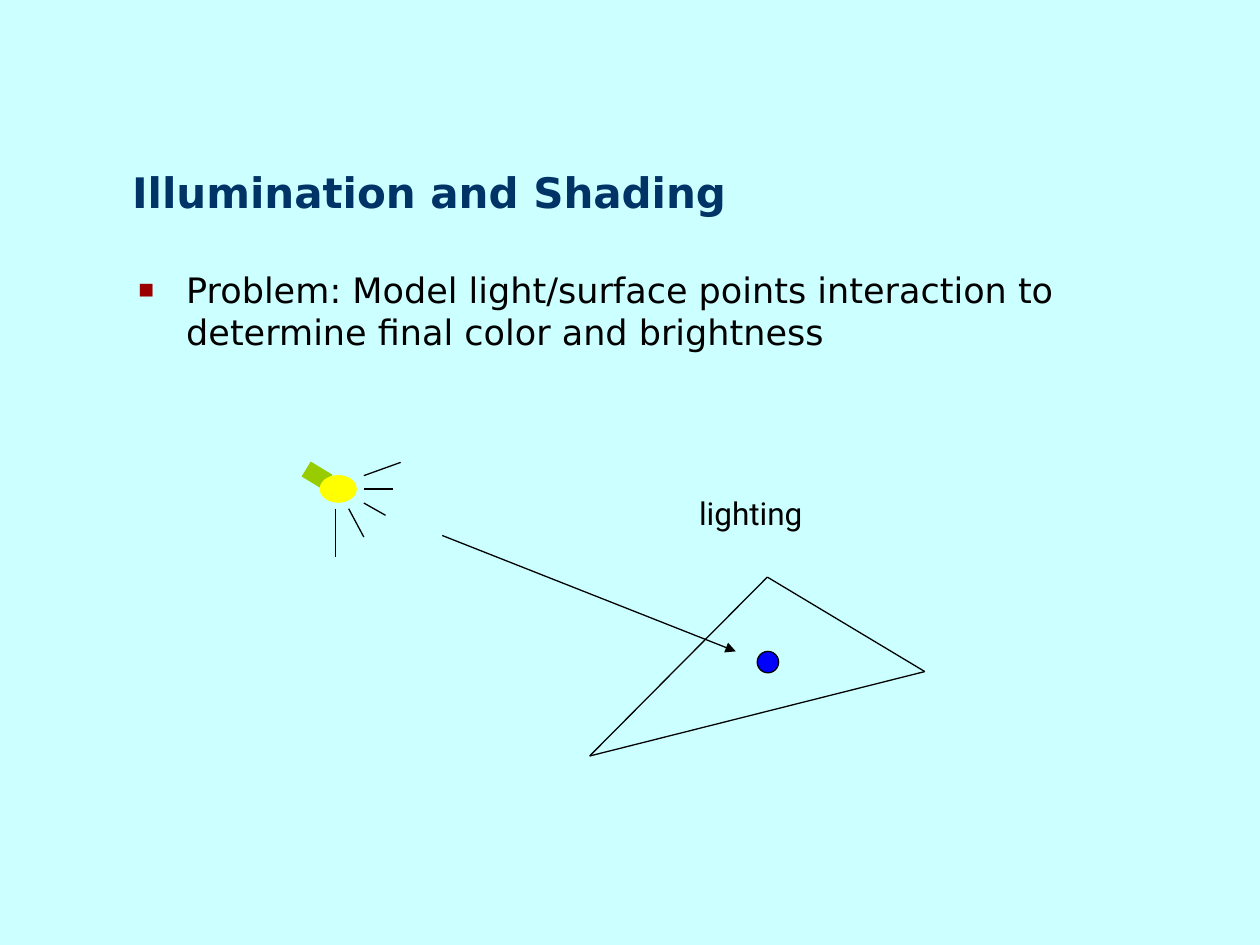
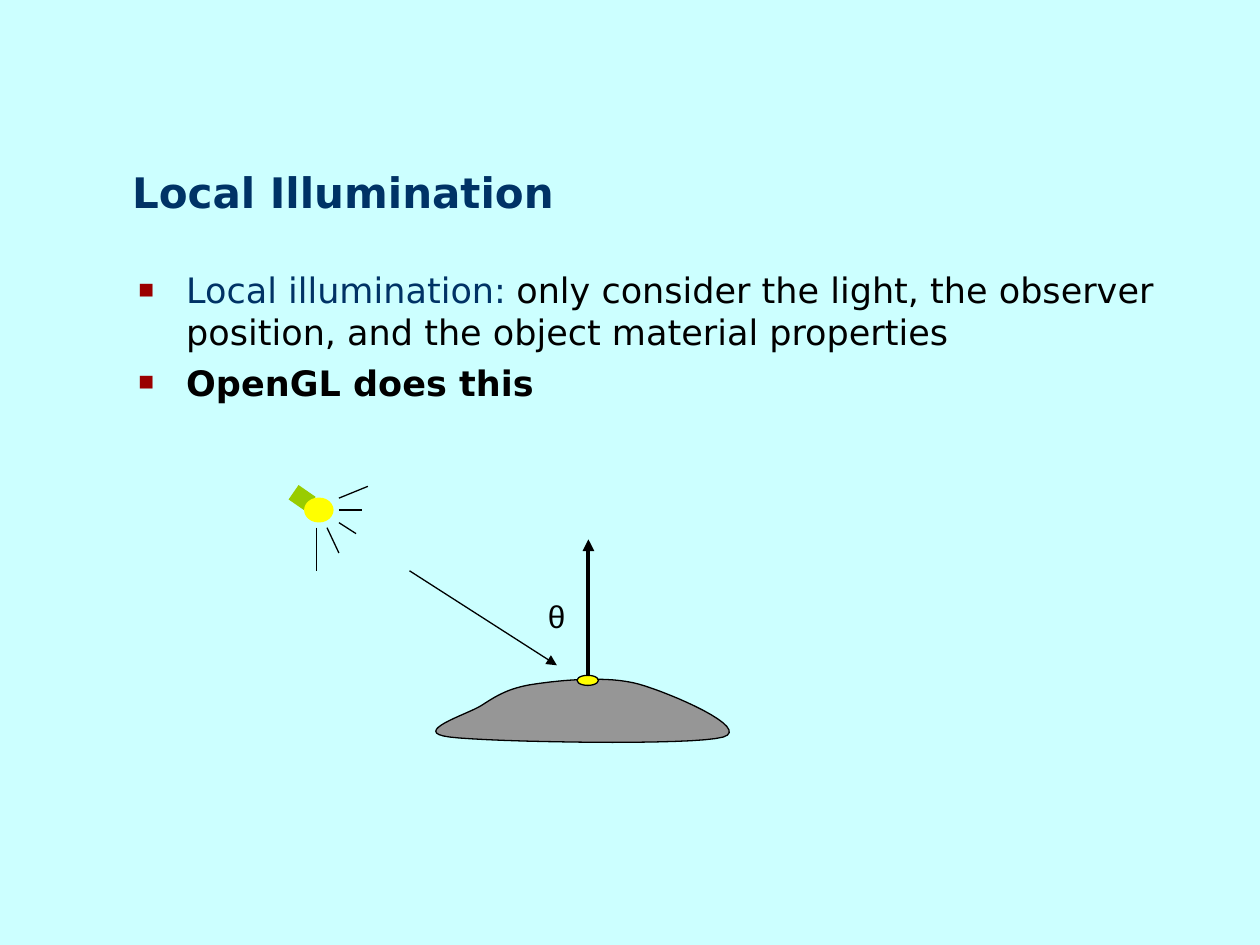
from collections import namedtuple
from dataclasses import dataclass

from lxml.etree import SubElement
from pptx import Presentation
from pptx.dml.color import RGBColor
from pptx.enum.shapes import MSO_CONNECTOR, MSO_SHAPE
from pptx.enum.text import MSO_ANCHOR, MSO_AUTO_SIZE
from pptx.oxml.ns import qn
from pptx.util import Inches, Pt

Box = namedtuple("Box", "left top width height")


@dataclass(frozen=True)
class Theme:
    background: str = "CCFFFF"
    heading: str = "003366"
    ink: str = "000000"
    bullet: str = "9A0000"
    lamp_stem: str = "99CC00"
    light: str = "FFFF00"
    point: str = "0000FF"
    ground: str = "969696"
    text_font: str = "DejaVu Sans"
    label_font: str = "Roboto"
    symbol_font: str = "Arial"
    title_size: int = 24
    body_size: int = 20
    label_size: int = 18
    thin: float = 0.75
    bold: float = 2.25
    stem: int = 10


THEME = Theme()
TITLE_BOX = Box(0.95, 1.27, 8.93, 0.5)
BODY_BOX = Box(1, 2.08, 8.87, 4.58)

# Places inside the lamp, as shares of its box
LAMP_STEM = ((0.23, 0.21), (0, 0.07))
LAMP_BULB = Box(0.15, 0.14, 0.38, 0.28)
LAMP_RAYS = (
    ((0.61, 0.14), (1, 0)),
    ((0.61, 0.28), (0.92, 0.28)),
    ((0.61, 0.43), (0.84, 0.56)),
    ((0.45, 0.49), (0.61, 0.79)),
    ((0.31, 0.49), (0.31, 1)),
)

# Inches from the corner of the mound's box: two controls and an end per curve
MOUND_START = (0.32, 0.49)
MOUND_CURVES = (
    ((0, 0.45), (0.46, 0.31), (0.57, 0.24)),
    ((0.68, 0.17), (0.78, 0.1), (0.99, 0.07)),
    ((1.19, 0.04), (1.57, 0), (1.82, 0.07)),
    ((2.07, 0.14), (2.72, 0.42), (2.49, 0.49)),
    ((2.25, 0.56), (0.64, 0.53), MOUND_START),
)


def colour(value):
    return RGBColor.from_string(value)


def inches(values):
    return [Inches(value) for value in values]


def within(box, share):
    return box.left + share[0] * box.width, box.top + share[1] * box.height


def set_values(target, values):
    for name, value in values.items():
        setattr(target, name, value)


def paint(shape, fill, line=THEME.ink):
    shape.shadow.inherit = False
    shape.fill.solid()
    shape.fill.fore_color.rgb = colour(fill)
    shape.line.color.rgb = colour(line)
    shape.line.width = Pt(THEME.thin)


def add_line(page, start, end, line=THEME.ink, width=THEME.thin, arrow=False):
    connector = page.shapes.add_connector(
        MSO_CONNECTOR.STRAIGHT, *inches(start), *inches(end))
    connector.line.color.rgb = colour(line)
    connector.line.width = Pt(width)
    if arrow:
        SubElement(connector.line._get_or_add_ln(), qn("a:tailEnd"), type="triangle")
    SubElement(connector._element.spPr, qn("a:effectLst"))


def add_ellipse(page, box, fill, line=THEME.ink):
    paint(page.shapes.add_shape(MSO_SHAPE.OVAL, *inches(box)), fill, line)


def add_span(para, text, size, font=THEME.text_font, ink=THEME.ink, bold=False):
    span = para.add_run()
    span.text = text
    set_values(span.font, {"size": Pt(size), "name": font, "bold": bold})
    span.font.color.rgb = colour(ink)


def add_text_frame(page, box, **values):
    frame = page.shapes.add_textbox(*inches(box)).text_frame
    set_values(frame, {"word_wrap": True, "auto_size": MSO_AUTO_SIZE.NONE, **values})
    return frame


def add_title(page, box, text):
    frame = add_text_frame(page, box, vertical_anchor=MSO_ANCHOR.BOTTOM,
                           auto_size=MSO_AUTO_SIZE.SHAPE_TO_FIT_TEXT)
    add_span(frame.paragraphs[0], text, THEME.title_size, ink=THEME.heading, bold=True)


def add_label(page, box, text, font):
    frame = add_text_frame(page, box, word_wrap=False,
                           auto_size=MSO_AUTO_SIZE.SHAPE_TO_FIT_TEXT)
    add_span(frame.paragraphs[0], text, THEME.label_size, font)


def set_bullet(para):
    para.space_before = Pt(5)
    properties = para._p.get_or_add_pPr()
    indent = Inches(0.38)
    properties.set("marL", str(indent))
    properties.set("indent", str(-indent))
    SubElement(SubElement(properties, qn("a:buClr")), qn("a:srgbClr"), val=THEME.bullet)
    SubElement(properties, qn("a:buSzPct"), val="75000")
    SubElement(properties, qn("a:buFont"), typeface=THEME.symbol_font)
    SubElement(properties, qn("a:buChar"), char="■")


def add_bullets(page, box, bullets):
    """Each bullet is a list of (text, format values) spans."""
    frame = add_text_frame(page, box)
    for index, spans in enumerate(bullets):
        para = frame.add_paragraph() if index else frame.paragraphs[0]
        set_bullet(para)
        for text, values in spans:
            add_span(para, text, **{"size": THEME.body_size, **values})


def add_lamp(page, box):
    add_line(page, *(within(box, share) for share in LAMP_STEM),
             line=THEME.lamp_stem, width=THEME.stem)
    bulb = Box(*within(box, LAMP_BULB[:2]),
               LAMP_BULB.width * box.width, LAMP_BULB.height * box.height)
    add_ellipse(page, bulb, THEME.light, THEME.light)
    for ray in LAMP_RAYS:
        add_line(page, *(within(box, share) for share in ray))


def add_triangle(page, box):
    """Draw the lit surface and the point on it."""
    left, top, width, height = box
    low, peak, right = (left, top + height), (left + 1.41, top), (left + width, top + 0.75)
    for start, end in ((low, peak), (peak, right), (low, right)):
        add_line(page, start, end)
    add_ellipse(page, Box(left + 1.33, top + 0.59, 0.17, 0.17), THEME.point)


def curve_points(start, first, second, end, steps=16):
    for step in range(1, steps + 1):
        t = step / steps
        weights = ((1 - t) ** 3, 3 * t * (1 - t) ** 2, 3 * t * t * (1 - t), t ** 3)
        yield tuple(sum(weight * value for weight, value in zip(weights, axis))
                    for axis in zip(start, first, second, end))


def add_mound(page, left, top):
    points, start = [], MOUND_START
    for curve in MOUND_CURVES:
        points += curve_points(start, *curve)
        start = curve[-1]
    outline = [inches((left + x, top + y)) for x, y in [MOUND_START] + points]
    builder = page.shapes.build_freeform(*outline[0])
    builder.add_line_segments(outline[1:], close=True)
    paint(builder.convert_to_shape(), THEME.ground)


def add_surface(page, box):
    """Draw the mound with its normal, the incoming light and their angle."""
    left, top = box.left, box.top
    foot = (left + 1.42, top)
    add_mound(page, left, top)
    add_line(page, foot, (foot[0], top - 1.08), width=THEME.bold, arrow=True)
    add_line(page, (left, top - 0.83), (left + 1.17, top - 0.08), arrow=True)
    add_label(page, Box(left + 1, top - 0.67, 0.33, 0.4), "θ", THEME.symbol_font)
    add_ellipse(page, Box(foot[0] - 0.09, top, 0.17, 0.08), THEME.light)


def add_page(deck, title, bullets):
    page = deck.slides.add_slide(deck.slide_layouts[6])
    page.background.fill.solid()
    page.background.fill.fore_color.rgb = colour(THEME.background)
    add_title(page, TITLE_BOX, title)
    add_bullets(page, BODY_BOX, bullets)
    return page


def add_shading_page(deck):
    page = add_page(deck, "Illumination and Shading", [
        [("Problem: Model light/surface points interaction to "
          "determine final color and brightness", {})],
    ])
    add_triangle(page, Box(4.68, 4.58, 2.66, 1.42))
    add_lamp(page, Box(2.43, 3.67, 0.75, 0.75))
    add_line(page, (3.51, 4.25), (5.84, 5.17), arrow=True)
    add_label(page, Box(5.45, 3.87, 1.1, 0.4), "lighting", THEME.label_font)


def add_local_page(deck):
    page = add_page(deck, "Local Illumination", [
        [("Local illumination:", {"ink": THEME.heading}),
         (" ", {"size": THEME.label_size}),
         ("only consider the light, the observer position, "
          "and the object material properties", {})],
        [("OpenGL does this", {"bold": True})],
    ])
    add_surface(page, Box(3.25, 5.36, 2.72, 0.56))
    add_lamp(page, Box(2.33, 3.86, 0.59, 0.67))


def main():
    deck = Presentation()
    set_values(deck, {"slide_width": Inches(10), "slide_height": Inches(7.5)})
    add_shading_page(deck)
    add_local_page(deck)
    deck.save("out.pptx")


if __name__ == "__main__":
    main()
